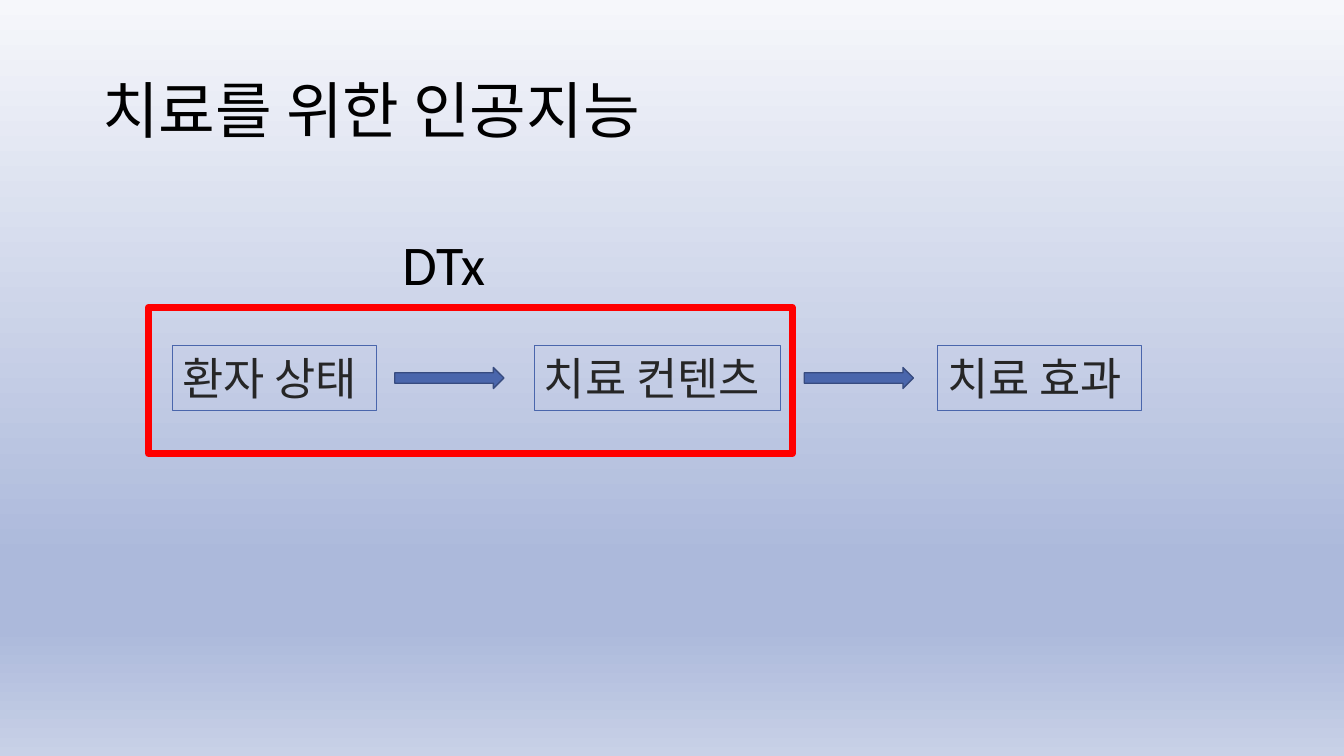
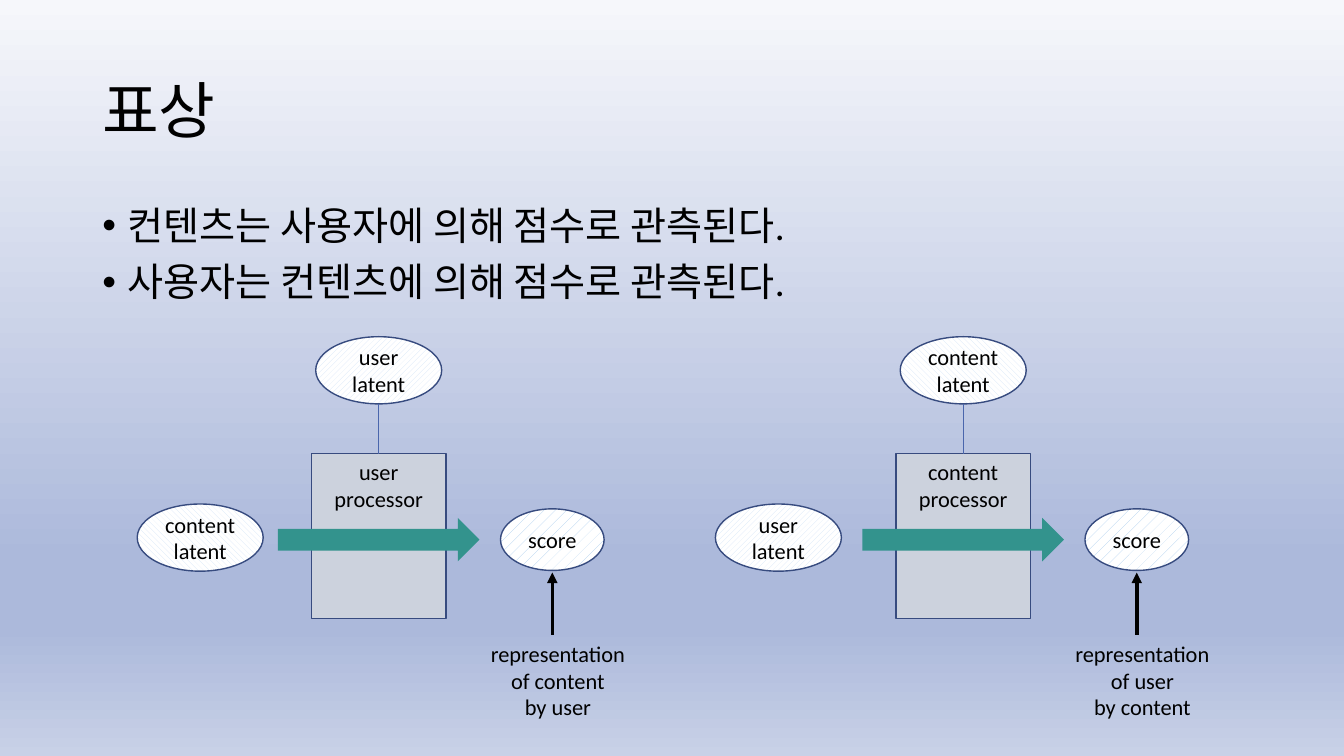
import pptx
import pptx.dml.color
import pptx.enum.dml
import pptx.enum.shapes
import pptx.enum.text
import pptx.oxml.ns
import pptx.util
from lxml import etree

Pt = pptx.util.Pt
RGB = pptx.dml.color.RGBColor
SHAPE = pptx.enum.shapes.MSO_SHAPE
PATTERN = pptx.enum.dml.MSO_PATTERN
ALIGN = pptx.enum.text.PP_ALIGN
ANCHOR = pptx.enum.text.MSO_ANCHOR
qn = pptx.oxml.ns.qn

BLACK = RGB(0x00, 0x00, 0x00)
WHITE = RGB(0xFF, 0xFF, 0xFF)
CHARCOAL = RGB(0x26, 0x26, 0x26)
BLUE = RGB(0x4A, 0x66, 0xAC)
NAVY = RGB(0x37, 0x4B, 0x7F)
RED = RGB(0xFF, 0x00, 0x00)
GREY = RGB(0xCC, 0xD2, 0xDD)
TEAL = RGB(0x33, 0x93, 0x8D)
PALE_BLUE = RGB(0xD4, 0xE5, 0xF7)
SKY = RGB(0xA9, 0xCC, 0xEE)
BACKGROUND_STOPS = [
    (0, RGB(0xF6, 0xF7, 0xFB)),
    (74, RGB(0xAC, 0xB9, 0xDB)),
    (83, RGB(0xAC, 0xB9, 0xDB)),
    (100, RGB(0xC8, 0xD1, 0xE7)),
]

LATIN_FONT = "Calibri"
KOREAN_FONT = "Noto Sans CJK KR"

# Pattern and its foreground colour for each kind of oval
USER = (PATTERN.WIDE_UPWARD_DIAGONAL, PALE_BLUE)
CONTENT = (PATTERN.WIDE_DOWNWARD_DIAGONAL, PALE_BLUE)
SCORE = (PATTERN.PERCENT_10, SKY)


class Deck:
    def __init__(self):
        self.prs = pptx.Presentation()
        self.prs.slide_width, self.prs.slide_height = Pt(960), Pt(540)
        self.slide = None
        self.set_background()

    def set_background(self):
        master = self.prs.slide_master
        fill = master.background.fill
        fill.gradient()
        fill.gradient_angle = 270
        stops = next(master.element.iter(qn("a:gsLst")))
        for stop in list(stops):
            stops.remove(stop)
        for percent, color in BACKGROUND_STOPS:
            stop = etree.SubElement(stops, qn("a:gs"), pos=str(percent * 1000))
            etree.SubElement(stop, qn("a:srgbClr"), val=str(color))

    def new_slide(self, title):
        self.slide = self.prs.slides.add_slide(self.prs.slide_layouts[6])
        self.text(66, 29, 828, 104, [title], 44, anchor=ANCHOR.MIDDLE, spacing=0.9)

    def fill_text(self, frame, lines, size, font=LATIN_FONT, color=BLACK, align=ALIGN.LEFT,
                  anchor=ANCHOR.TOP, wrap=True, spacing=None, before=0, bullet=False):
        frame.word_wrap = wrap
        frame.vertical_anchor = anchor
        for index, line in enumerate(lines):
            paragraph = frame.add_paragraph() if index else frame.paragraphs[0]
            paragraph.alignment = align
            if spacing:
                paragraph.line_spacing = spacing
            if index and before:
                paragraph.space_before = Pt(before)
            if bullet:
                properties = paragraph._p.get_or_add_pPr()
                properties.set("marL", str(Pt(18)))
                properties.set("indent", str(-Pt(18)))
                etree.SubElement(properties, qn("a:buFont"), typeface="Arial")
                etree.SubElement(properties, qn("a:buChar"), char="•")
            run = paragraph.add_run()
            run.text = line
            run.font.size = Pt(size)
            run.font.color.rgb = color
            run.font.name = font
            latin = run.font._element.find(qn("a:latin"))
            latin.addnext(etree.Element(qn("a:ea"), typeface=KOREAN_FONT))

    def text(self, x, y, width, height, lines, size, **style):
        box = self.slide.shapes.add_textbox(Pt(x), Pt(y), Pt(width), Pt(height))
        self.fill_text(box.text_frame, lines, size, **style)

    def shape(self, kind, x, y, width, height, fill=None, line=None, weight=1):
        shape = self.slide.shapes.add_shape(kind, Pt(x), Pt(y), Pt(width), Pt(height))
        shape.shadow.inherit = False
        if fill:
            shape.fill.solid()
            shape.fill.fore_color.rgb = fill
        else:
            shape.fill.background()
        if line:
            shape.line.color.rgb = line
            shape.line.width = Pt(weight)
        else:
            shape.line.fill.background()
        return shape

    def step(self, x, width, label):
        box = self.shape(SHAPE.RECTANGLE, x, 247, width, 46, line=BLUE, weight=0.75)
        self.fill_text(box.text_frame, [label], 32, font=KOREAN_FONT, color=CHARCOAL,
                       anchor=ANCHOR.MIDDLE, wrap=False)

    def oval(self, center_x, center_y, width, height, look, lines):
        oval = self.shape(SHAPE.OVAL, center_x - width / 2, center_y - height / 2,
                          width, height, line=NAVY)
        oval.fill.patterned()
        oval.fill.pattern, oval.fill.fore_color.rgb = look
        oval.fill.back_color.rgb = WHITE
        self.fill_text(oval.text_frame, lines, 16, align=ALIGN.CENTER,
                       anchor=ANCHOR.MIDDLE, wrap=False)

    def line(self, x, start_y, end_y, color, weight, arrow=False):
        line = self.slide.shapes.add_connector(
            pptx.enum.shapes.MSO_CONNECTOR.STRAIGHT, Pt(x), Pt(start_y), Pt(x), Pt(end_y))
        line.line.color.rgb = color
        line.line.width = Pt(weight)
        if arrow:
            etree.SubElement(line.line._get_or_add_ln(), qn("a:tailEnd"), type="triangle")
        etree.SubElement(line._element.spPr, qn("a:effectLst"))

    def observation(self, axis, input_x, observed, observer, observed_look, observer_look):
        """Draw how the observer turns the observed into a score, around a vertical axis."""
        score_x = axis + 124
        self.oval(axis, 264.5, 90, 48, observer_look, [observer, "latent"])
        processor = self.shape(SHAPE.RECTANGLE, axis - 48, 324, 96, 118, GREY, NAVY)
        self.fill_text(processor.text_frame, [observer, "processor"], 16,
                       align=ALIGN.CENTER, wrap=False)
        self.oval(input_x, 384, 90, 48, observed_look, [observed, "latent"])
        self.shape(SHAPE.RIGHT_ARROW, axis - 72, 370, 144, 31, TEAL)
        self.oval(score_x, 385.5, 74, 44, SCORE, ["score"])
        self.line(axis, 288.5, 324, BLUE, 0.5)
        self.text(score_x - 52, 453.5, 112, 66,
                  ["representation", f"of {observed}", f"by {observer}"], 16,
                  align=ALIGN.CENTER, wrap=False)
        self.line(score_x, 453.5, 409, BLACK, 2.5, arrow=True)


def therapy_slide(deck):
    deck.new_slide("치료를 위한 인공지능")
    for arrow_x in (282, 574.5):
        deck.shape(SHAPE.RIGHT_ARROW, arrow_x, 262.5, 78, 15, BLUE, NAVY)
    for x, width, label in ((123, 146, "환자 상태"), (381.5, 176, "치료 컨텐츠"),
                            (669.5, 146, "치료 효과")):
        deck.step(x, width, label)
    deck.shape(SHAPE.RECTANGLE, 106, 219.5, 460, 104.5, line=RED, weight=4.75)
    deck.text(274, 160.5, 86, 44, ["DTx"], 40, align=ALIGN.CENTER, wrap=False)


def representation_slide(deck):
    deck.new_slide("표상")
    deck.observation(270.5, 143, "content", "user", CONTENT, USER)
    deck.observation(688, 556, "user", "content", USER, CONTENT)
    deck.text(66, 144, 828, 80, ["컨텐츠는 사용자에 의해 점수로 관측된다.",
                                 "사용자는 컨텐츠에 의해 점수로 관측된다."],
              28, spacing=0.9, before=10, bullet=True)


def main():
    deck = Deck()
    therapy_slide(deck)
    representation_slide(deck)
    deck.prs.save("out.pptx")


if __name__ == "__main__":
    main()
